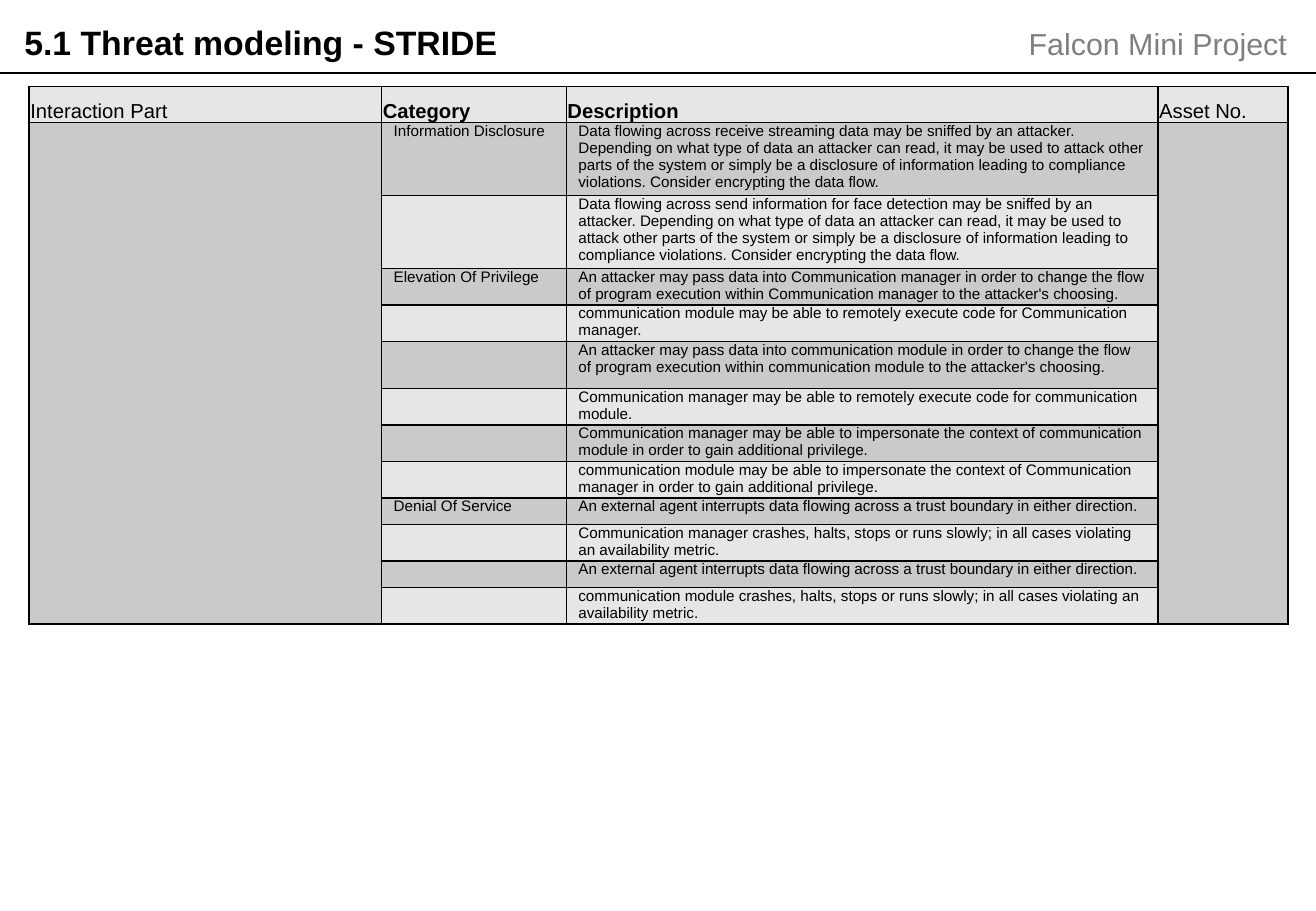
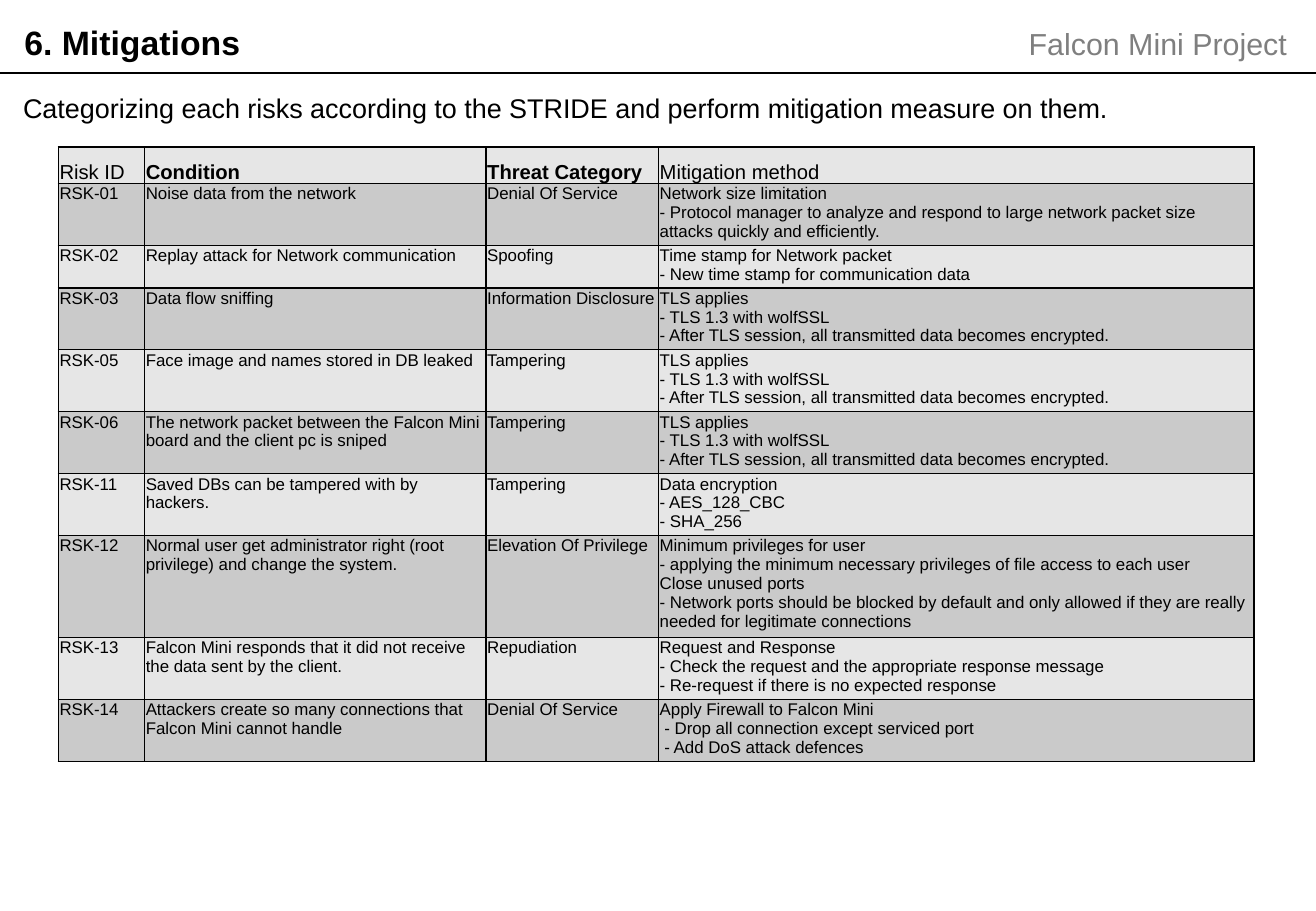
from dataclasses import dataclass
from typing import Any

from lxml.etree import SubElement
from pptx import Presentation
from pptx.dml.color import RGBColor
from pptx.enum.shapes import MSO_CONNECTOR
from pptx.enum.text import MSO_ANCHOR, MSO_AUTO_SIZE, PP_ALIGN
from pptx.oxml import parse_xml
from pptx.oxml.ns import nsdecls, qn
from pptx.util import Inches, Pt


@dataclass(frozen=True)
class Theme:
    font: str = "Arial"
    black: str = "000000"
    grey: str = "7F7F7F"
    light: str = "E6E6E6"
    dark: str = "CACACA"
    title_size: float = 20
    project_size: float = 18
    lead_size: float = 16
    header_size: float = 12
    page_width: float = 10.83
    page_height: float = 7.5
    rule_top: float = 0.6
    rule_width: float = 0.75
    border_width: float = 1


THEME = Theme()


@dataclass(frozen=True)
class Area:
    left: float
    top: float
    width: float
    height: float


@dataclass(frozen=True)
class TextStyle:
    size: float
    color: str = THEME.black
    bold: bool = False
    align: PP_ALIGN = PP_ALIGN.LEFT


@dataclass(frozen=True)
class TableDesign:
    left: float
    top: float
    columns: tuple[float, ...]
    heights: tuple[float, ...]
    rows: tuple[tuple[str, ...], ...]
    bold_headers: tuple[int, ...]
    body_size: float
    body_insets: tuple[float, float, float, float]
    merged_columns: tuple[int, ...] = ()


TITLE_AREA = Area(0.1, 0.13, 6.4, 0.44)
PROJECT_AREA = Area(7.62, 0.16, 3.07, 0.4)
LEAD_AREA = Area(0.11, 0.71, 10.58, 0.35)
BOX_INSETS = (0.1, 0.05, 0.1, 0.05)
LEAD_INSETS = (0.08, 0.04, 0.08, 0.04)
TIGHT_INSETS = (0.01, 0.01, 0.01, 0)
WIDE_INSETS = (0.1, 0, 0.1, 0)

DISCLOSURE = (
    "Data flowing across {} may be sniffed by an attacker. Depending on what type of data "
    "an attacker can read, it may be used to attack other parts of the system or simply be a "
    "disclosure of information leading to compliance violations. Consider encrypting the data flow."
)
CHANGE_FLOW = (
    "An attacker may pass data into {0} in order to change the flow of program "
    "execution within {0} to the attacker's choosing."
)
REMOTE_CODE = "{} may be able to remotely execute code for {}."
IMPERSONATE = "{} may be able to impersonate the context of {} in order to gain additional privilege."
CRASH = "{} crashes, halts, stops or runs slowly; in all cases violating an availability metric."
INTERRUPT = "An external agent interrupts data flowing across a trust boundary in either direction."
MANAGER = "Communication manager"
MODULE = "communication module"
TLS = "TLS applies\n- TLS 1.3 with wolfSSL\n- After TLS session, all transmitted data becomes encrypted."

THREATS = TableDesign(
    left=0.24,
    top=0.71,
    columns=(2.9, 1.52, 4.87, 1.07),
    heights=(0.3, 0.6, 0.6, 0.3, 0.3, 0.39, 0.3, 0.3, 0.3, 0.22, 0.3, 0.22, 0.3),
    rows=(
        ("Interaction Part", "Category", "Description", "Asset No."),
        ("", "Information Disclosure", DISCLOSURE.format("receive streaming data"), ""),
        ("", "", DISCLOSURE.format("send information for face detection"), ""),
        ("", "Elevation Of Privilege", CHANGE_FLOW.format(MANAGER), ""),
        ("", "", REMOTE_CODE.format(MODULE, MANAGER), ""),
        ("", "", CHANGE_FLOW.format(MODULE), ""),
        ("", "", REMOTE_CODE.format(MANAGER, MODULE), ""),
        ("", "", IMPERSONATE.format(MANAGER, MODULE), ""),
        ("", "", IMPERSONATE.format(MODULE, MANAGER), ""),
        ("", "Denial Of Service", INTERRUPT, ""),
        ("", "", CRASH.format(MANAGER), ""),
        ("", "", INTERRUPT, ""),
        ("", "", CRASH.format(MODULE), ""),
    ),
    bold_headers=(1, 2),
    body_size=9,
    body_insets=WIDE_INSETS,
    merged_columns=(0, 3),
)

MITIGATIONS = TableDesign(
    left=0.48,
    top=1.21,
    columns=(0.71, 2.81, 1.42, 4.9),
    heights=(0.3, 0.51, 0.35, 0.51, 0.51, 0.51, 0.51, 0.84, 0.51, 0.51),
    rows=(
        ("Risk ID", "Condition", "Threat Category", "Mitigation method"),
        ("RSK-01", "Noise data from the network", "Denial Of Service",
         "Network size limitation\n- Protocol manager to analyze and respond to large network "
         "packet size attacks quickly and efficiently."),
        ("RSK-02", "Replay attack for Network communication", "Spoofing",
         "Time stamp for Network packet\n- New time stamp for communication data"),
        ("RSK-03", "Data flow sniffing", "Information Disclosure", TLS),
        ("RSK-05", "Face image and names stored in DB leaked", "Tampering", TLS),
        ("RSK-06", "The network packet between the Falcon Mini board and the client pc is sniped",
         "Tampering", TLS),
        ("RSK-11", "Saved DBs can be tampered with by hackers.", "Tampering",
         "Data encryption\n- AES_128_CBC\n- SHA_256"),
        ("RSK-12", "Normal user get administrator right (root privilege) and change the system.",
         "Elevation Of Privilege",
         "Minimum privileges for user\n- applying the minimum necessary privileges of file access "
         "to each user\nClose unused ports\n- Network ports should be blocked by default and only "
         "allowed if they are really needed for legitimate connections"),
        ("RSK-13", "Falcon Mini responds that it did not receive the data sent by the client.",
         "Repudiation",
         "Request and Response\n- Check the request and the appropriate response message\n"
         "- Re-request if there is no expected response"),
        ("RSK-14", "Attackers create so many connections that Falcon Mini cannot handle",
         "Denial Of Service",
         "Apply Firewall to Falcon Mini\n - Drop all connection except serviced port\n"
         " - Add DoS attack defences"),
    ),
    bold_headers=(1, 2),
    body_size=10,
    body_insets=TIGHT_INSETS,
)


def apply_format(target: Any, values: dict[str, Any]) -> None:
    for name, value in values.items():
        setattr(target, name, value)


def margins(insets: tuple[float, ...]) -> dict[str, Any]:
    sides = ("margin_left", "margin_top", "margin_right", "margin_bottom")
    return {side: Inches(inset) for side, inset in zip(sides, insets)}


def write_text(frame: Any, text: str, style: TextStyle) -> None:
    for index, line in enumerate(text.split("\n")):
        para = frame.paragraphs[0] if index == 0 else frame.add_paragraph()
        para.alignment = style.align
        if not line:
            SubElement(para._p, qn("a:endParaRPr"), sz=str(int(style.size * 100)))
            continue
        span = para.add_run()
        span.text = line
        apply_format(span.font, {"name": THEME.font, "size": Pt(style.size), "bold": style.bold})
        span.font.color.rgb = RGBColor.from_string(style.color)


def fill_box(box: Any, area: Area, text: str, style: TextStyle,
             insets: tuple[float, ...] = BOX_INSETS) -> None:
    apply_format(box, {
        "left": Inches(area.left), "top": Inches(area.top),
        "width": Inches(area.width), "height": Inches(area.height),
    })
    apply_format(box.text_frame, {
        "word_wrap": True, "auto_size": MSO_AUTO_SIZE.NONE,
        "vertical_anchor": MSO_ANCHOR.TOP, **margins(insets),
    })
    write_text(box.text_frame, text, style)


def add_text(page: Any, area: Area, text: str, style: TextStyle,
             insets: tuple[float, ...] = BOX_INSETS) -> None:
    fill_box(page.shapes.add_textbox(0, 0, 0, 0), area, text, style, insets)


def add_page(deck: Any, title: str) -> Any:
    page = deck.slides.add_slide(deck.slide_layouts.get_by_name("Title Only"))
    top = Inches(THEME.rule_top)
    rule = page.shapes.add_connector(
        MSO_CONNECTOR.STRAIGHT, 0, top, Inches(THEME.page_width), top)
    rule.line.color.rgb = RGBColor.from_string(THEME.black)
    rule.line.width = Pt(THEME.rule_width)
    SubElement(rule._element.spPr, qn("a:effectLst"))
    fill_box(page.shapes.title, TITLE_AREA, title, TextStyle(THEME.title_size, bold=True))
    add_text(page, PROJECT_AREA, "Falcon Mini Project",
             TextStyle(THEME.project_size, THEME.grey, align=PP_ALIGN.RIGHT))
    return page


def add_borders(cell: Any) -> None:
    properties = cell._tc.get_or_add_tcPr()
    for index, side in enumerate(("lnL", "lnR", "lnT", "lnB")):
        properties.insert(index, parse_xml(
            f'<a:{side} {nsdecls("a")} w="{Pt(THEME.border_width)}"><a:solidFill>'
            f'<a:srgbClr val="{THEME.black}"/></a:solidFill></a:{side}>'))


def add_grid(page: Any, design: TableDesign) -> None:
    table = page.shapes.add_table(
        len(design.rows), len(design.columns), Inches(design.left), Inches(design.top),
        Inches(sum(design.columns)), Inches(sum(design.heights))).table
    apply_format(table, {"first_row": False, "horz_banding": False})
    for column, width in zip(table.columns, design.columns):
        column.width = Inches(width)
    for row, height in zip(table.rows, design.heights):
        row.height = Inches(height)
    for row_index, texts in enumerate(design.rows):
        header = row_index == 0
        insets = TIGHT_INSETS if header else design.body_insets
        shade = THEME.dark if row_index % 2 else THEME.light
        for column_index, text in enumerate(texts):
            cell = table.cell(row_index, column_index)
            apply_format(cell, {
                "vertical_anchor": MSO_ANCHOR.BOTTOM if header else MSO_ANCHOR.TOP,
                **margins(insets),
            })
            cell.fill.solid()
            cell.fill.fore_color.rgb = RGBColor.from_string(shade)
            add_borders(cell)
            size = THEME.header_size if header else design.body_size
            bold = header and column_index in design.bold_headers
            write_text(cell.text_frame, text, TextStyle(size, bold=bold))
    for column_index in design.merged_columns:
        table.cell(1, column_index).merge(table.cell(len(design.rows) - 1, column_index))


def main() -> None:
    deck = Presentation()
    apply_format(deck, {
        "slide_width": Inches(THEME.page_width), "slide_height": Inches(THEME.page_height)})

    add_grid(add_page(deck, "5.1 Threat modeling - STRIDE"), THREATS)

    mitigation_page = add_page(deck, "6. Mitigations")
    add_text(mitigation_page, LEAD_AREA,
             "Categorizing each risks according to the STRIDE and perform mitigation measure on them.",
             TextStyle(THEME.lead_size), LEAD_INSETS)
    add_grid(mitigation_page, MITIGATIONS)

    deck.save("out.pptx")


if __name__ == "__main__":
    main()
